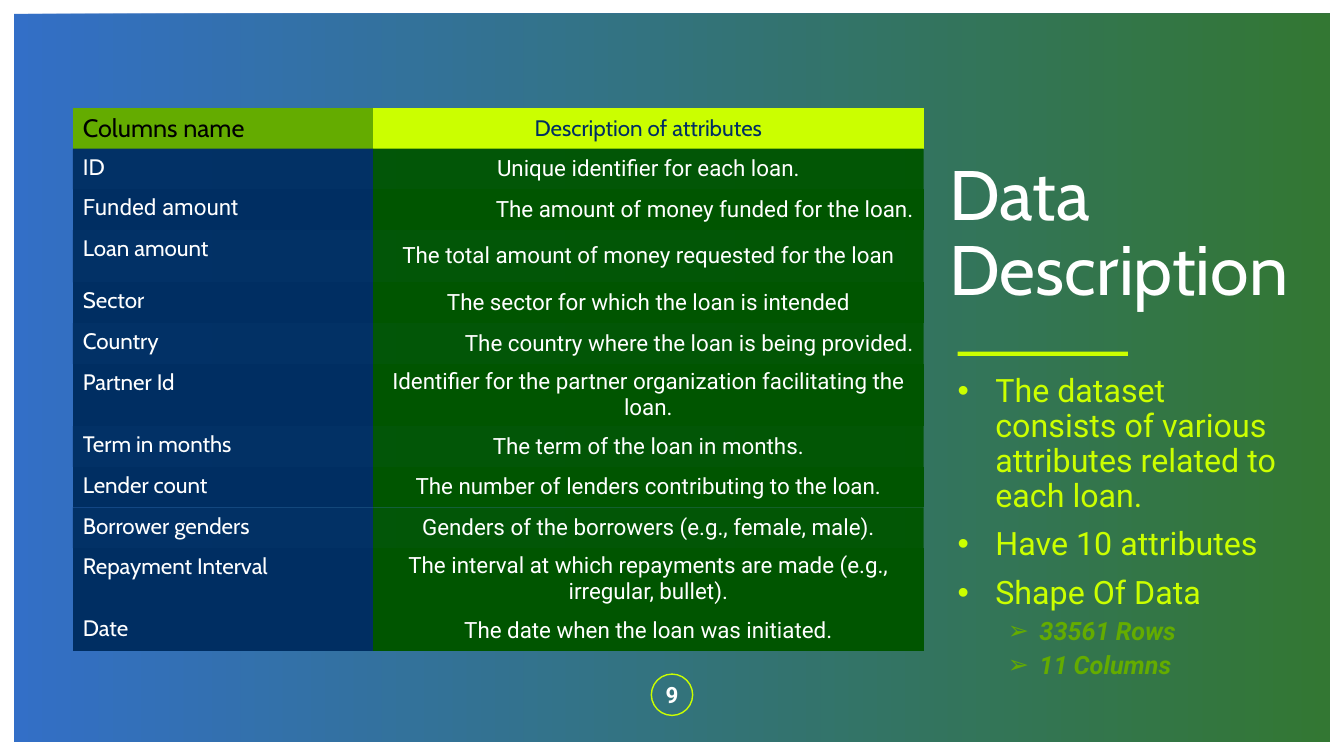
from lxml import etree
from pptx import Presentation
from pptx.dml.color import RGBColor
from pptx.enum.shapes import MSO_SHAPE
from pptx.enum.text import MSO_ANCHOR, MSO_AUTO_SIZE, PP_ALIGN
from pptx.oxml.ns import qn
from pptx.util import Pt

LEFT, CENTER, RIGHT = PP_ALIGN.LEFT, PP_ALIGN.CENTER, PP_ALIGN.RIGHT
TOP, MIDDLE = MSO_ANCHOR.TOP, MSO_ANCHOR.MIDDLE
NO_AUTOFIT = MSO_AUTO_SIZE.NONE
RECTANGLE, OVAL = MSO_SHAPE.RECTANGLE, MSO_SHAPE.OVAL

HEADING_FONT, BODY_FONT = "Cabin", "Roboto"
WHITE, BLACK = "FFFFFF", "000000"
NAVY, FOREST, BLUE = "002E62", "005500", "004CB9"
LIME, LEAF = "CBFF00", "64AC00"
PLAIN_TABLE_STYLE = "{2D5ABB26-0587-4C30-8999-92F81FD0307C}"

ROW, TALL_ROW, TWO_LINE_ROW = 29.1, 37.4, 44.3

# Attribute, description, row height, description alignment, attribute font
ATTRIBUTES = [
    ("ID", "Unique identifier for each loan.", ROW, CENTER, HEADING_FONT),
    ("Funded amount", "The amount of money funded for the loan.", ROW, RIGHT, BODY_FONT),
    ("Loan amount", "The total amount of money requested for the loan", TALL_ROW, CENTER, HEADING_FONT),
    ("Sector", "The sector for which the loan is intended", ROW, CENTER, HEADING_FONT),
    ("Country", "The country where the loan is being provided.", ROW, RIGHT, HEADING_FONT),
    ("Partner Id", "Identifier for the partner organization facilitating the loan.",
     TWO_LINE_ROW, CENTER, HEADING_FONT),
    ("Term in months", "The term of the loan in months.", ROW, CENTER, HEADING_FONT),
    ("Lender count", "The number of lenders contributing to the loan.", ROW, CENTER, HEADING_FONT),
    ("Borrower genders", "Genders of the borrowers (e.g., female, male).", ROW, CENTER, HEADING_FONT),
    ("Repayment Interval", "The interval at which repayments are made (e.g., irregular, bullet).",
     TWO_LINE_ROW, CENTER, HEADING_FONT),
    ("Date", "The date when the loan was initiated.", ROW, CENTER, HEADING_FONT),
]

FACTS = [
    ("The dataset consists of various attributes related to each loan.", 0),
    ("Have 10 attributes", 0),
    ("Shape Of Data", 0),
    ("33561 Rows", 1),
    ("11 Columns", 1),
]


def color(hex_value):
    return RGBColor.from_string(hex_value)


def style_runs(paragraph, font, size, hex_value, bold=False, italic=False):
    for run in paragraph.runs:
        run.font.name, run.font.size = font, Pt(size)
        run.font.bold, run.font.italic = bold, italic
        run.font.color.rgb = color(hex_value)


def set_opacity(element, percent):
    for srgb in element.iter(qn("a:srgbClr")):
        etree.SubElement(srgb, qn("a:alpha"), val=str(percent * 1000))


def set_bullet(paragraph, symbol, indent, hanging):
    properties = paragraph._p.get_or_add_pPr()
    properties.set("marL", str(Pt(indent)))
    properties.set("indent", str(-Pt(hanging)))
    etree.SubElement(properties, qn("a:buFont"), typeface="Arial")
    etree.SubElement(properties, qn("a:buChar"), char=symbol)


def place(shape, box):
    shape.left, shape.top, shape.width, shape.height = map(Pt, box)


def set_frame(frame, anchor, side_inset=0):
    frame.word_wrap = True
    frame.auto_size = NO_AUTOFIT
    frame.vertical_anchor = anchor
    frame.margin_left = frame.margin_right = Pt(side_inset)
    frame.margin_top = frame.margin_bottom = Pt(3.6)


def add_backdrop(slide, box):
    backdrop = slide.shapes.add_shape(RECTANGLE, *map(Pt, box))
    backdrop.shadow.inherit = False
    backdrop.line.fill.background()
    backdrop.fill.gradient()
    backdrop.fill.gradient_angle = 0
    for stop, hex_value, position in zip(backdrop.fill.gradient_stops, (BLUE, FOREST), (0, 1)):
        stop.color.rgb = color(hex_value)
        stop.position = position
    set_opacity(backdrop._element.spPr, 80)
    # Behind the placeholders
    slide.shapes._spTree.insert(2, backdrop._element)


def fill_cell(cell, text, fill, font, size, text_color, align, anchor, opacity=100):
    cell.text_frame.text = text
    cell.vertical_anchor = anchor
    paragraph = cell.text_frame.paragraphs[0]
    paragraph.alignment = align
    style_runs(paragraph, font, size, text_color)
    cell.fill.solid()
    cell.fill.fore_color.rgb = color(fill)
    if opacity < 100:
        set_opacity(cell._tc.tcPr, opacity)


def add_attribute_table(slide, box):
    left, top, width, height = box
    table = slide.shapes.add_table(len(ATTRIBUTES) + 1, 2, *map(Pt, box)).table
    table.first_row = table.horz_banding = False
    table._tbl.tblPr.find(qn("a:tableStyleId")).text = PLAIN_TABLE_STYLE
    name_width = 214.5
    table.columns[0].width = Pt(name_width)
    table.columns[1].width = Pt(width - name_width)

    # Header
    table.rows[0].height = Pt(ROW)
    fill_cell(table.cell(0, 0), "Columns name", LEAF, HEADING_FONT, 18, BLACK, LEFT, TOP)
    fill_cell(table.cell(0, 1), "Description of attributes", LIME, HEADING_FONT, 16, NAVY,
              CENTER, MIDDLE)

    # Banded rows
    for row, (name, description, row_height, align, name_font) in enumerate(ATTRIBUTES, 1):
        table.rows[row].height = Pt(row_height)
        opacity = 95 if row % 2 and row < len(ATTRIBUTES) else 100
        fill_cell(table.cell(row, 0), name, NAVY, name_font, 16, WHITE, LEFT, TOP, opacity)
        fill_cell(table.cell(row, 1), description, FOREST, BODY_FONT, 16, WHITE,
                  align, MIDDLE, opacity)


def add_summary(slide, box):
    left, top, width, height = box
    # Title
    title = slide.shapes.title
    place(title, (left, top, width, 154.8))
    set_frame(title.text_frame, MIDDLE)
    title.text_frame.text = "Data\vDescription"
    heading = title.text_frame.paragraphs[0]
    heading.alignment, heading.line_spacing = LEFT, 0.9
    style_runs(heading, HEADING_FONT, 50, WHITE)

    # Accent rule
    accent = slide.shapes.add_shape(RECTANGLE, Pt(left + 5.8), Pt(top + 160.5), Pt(121.7), Pt(3))
    accent.shadow.inherit = False
    accent.fill.solid()
    accent.fill.fore_color.rgb = color(LIME)
    accent.line.fill.background()

    # Facts
    facts = slide.placeholders[1]
    place(facts, (left + 5.8, top + 173.5, 234.7, height - 173.5))
    frame = facts.text_frame
    set_frame(frame, TOP)
    frame.text = "\n".join(text for text, level in FACTS)
    for index, (paragraph, (text, level)) in enumerate(zip(frame.paragraphs, FACTS)):
        if level:
            set_bullet(paragraph, "➢", 58.5, 22.5)
            style_runs(paragraph, BODY_FONT, 18, LEAF, bold=True, italic=True)
        else:
            set_bullet(paragraph, "•", 27, 27)
            style_runs(paragraph, BODY_FONT, 23, LIME)
        paragraph.level = level
        paragraph.alignment, paragraph.line_spacing = LEFT, 0.9
        paragraph.space_before = Pt(0 if index == 0 else 5 if level else 10)


def add_page_number(slide, box):
    left, top, width, height = box
    ring = slide.shapes.add_shape(OVAL, Pt(left + (width - height) / 2), Pt(top),
                                  Pt(height), Pt(height))
    ring.shadow.inherit = False
    ring.fill.background()
    ring.line.color.rgb = color(LIME)
    ring.line.width = Pt(1)

    number = slide.shapes.add_textbox(*map(Pt, box))
    set_frame(number.text_frame, MIDDLE, 7.2)
    number.text_frame.text = "9"
    paragraph = number.text_frame.paragraphs[0]
    paragraph.alignment = CENTER
    style_runs(paragraph, BODY_FONT, 16, WHITE, bold=True)


def main():
    deck = Presentation()
    deck.slide_width, deck.slide_height = Pt(960), Pt(540)
    slide = deck.slides.add_slide(deck.slide_layouts[1])
    add_backdrop(slide, (10, 10, 940, 520))
    add_attribute_table(slide, (52, 77, 607.8, 388))
    add_summary(slide, (678.2, 90.7, 258.5, 376))
    add_page_number(slide, (458.5, 481.5, 43, 29.5))
    deck.save("out.pptx")


if __name__ == "__main__":
    main()
